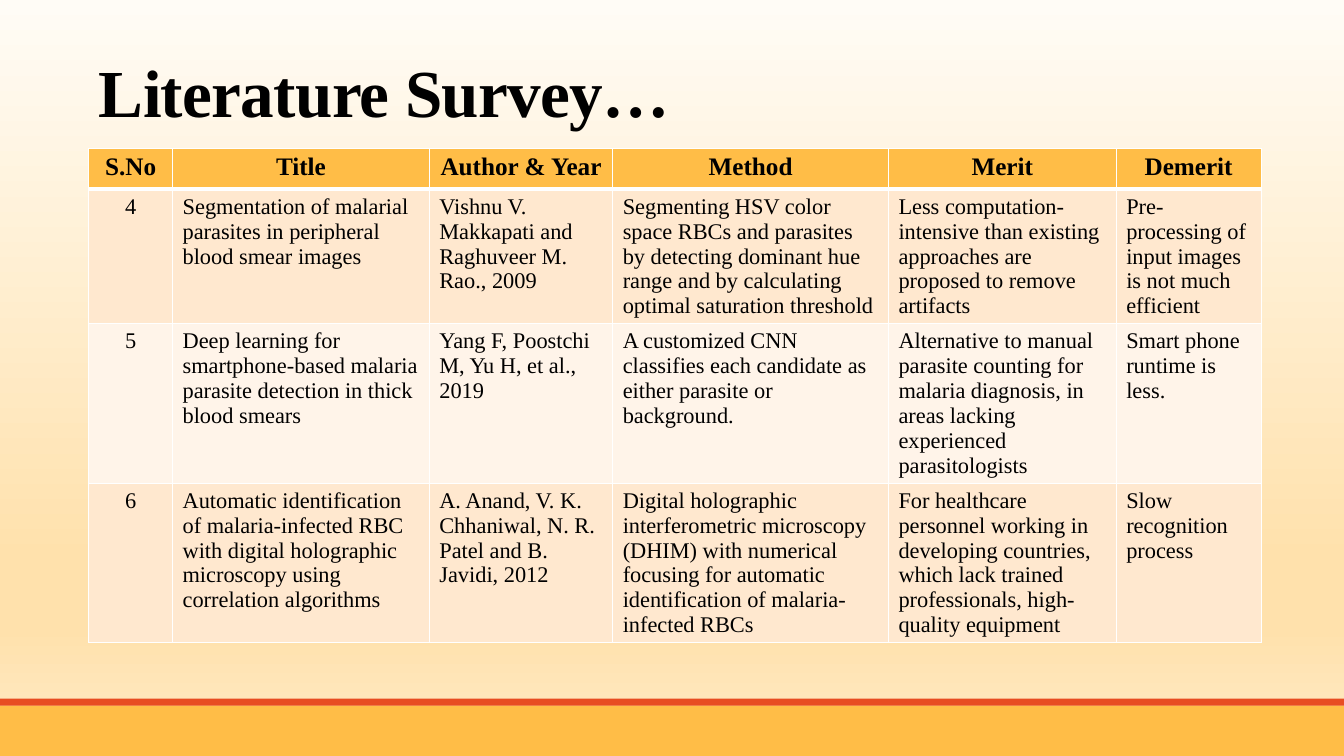
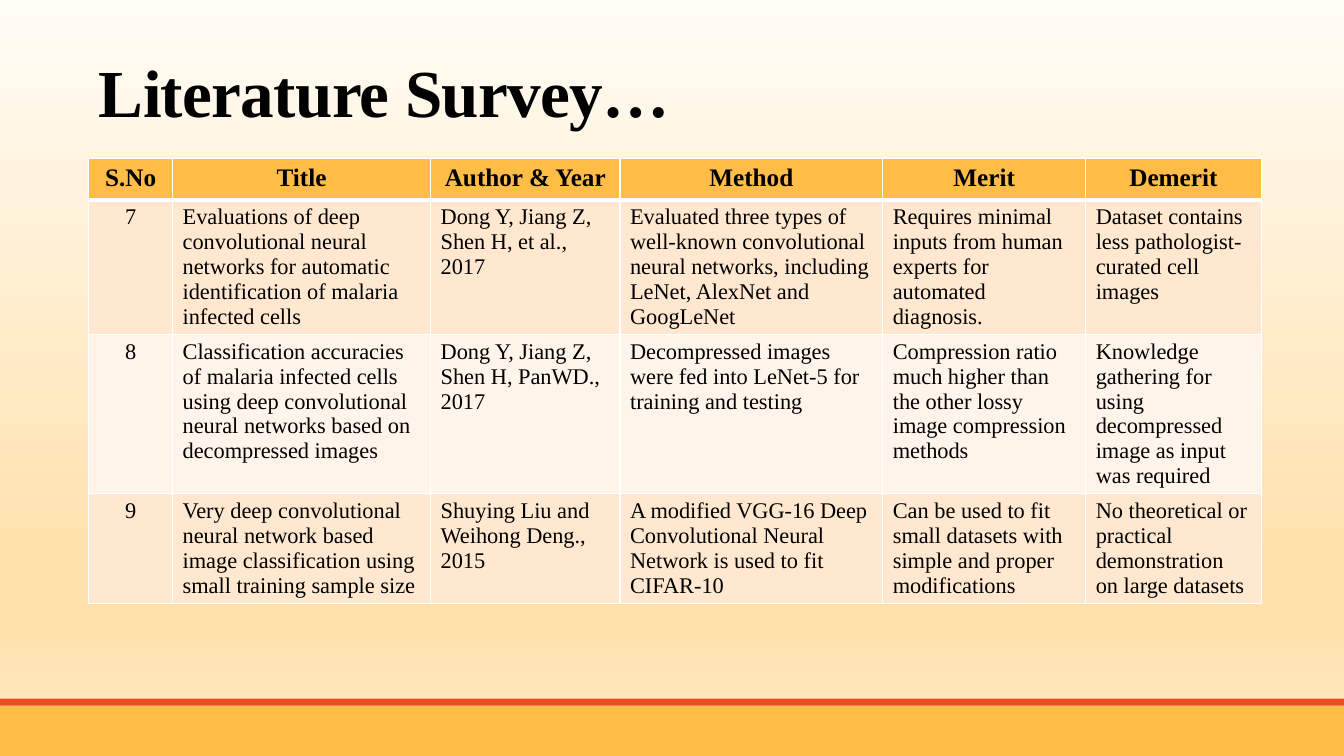
from dataclasses import dataclass

from lxml import etree
from pptx import Presentation
from pptx.dml.color import RGBColor
from pptx.enum import shapes, text
from pptx.oxml import ns
from pptx.util import Pt

HEADERS = ["S.No", "Title", "Author & Year", "Method", "Merit", "Demerit"]

SURVEYS = [
    {
        "title": "Literature Survey…",
        "top": 106,
        "widths": [59.8, 183.4, 131, 197, 162.7, 103.5],
        "rows": [
            ("4",
             "Segmentation of malarial parasites in peripheral blood smear images",
             "Vishnu V. Makkapati and Raghuveer M. Rao., 2009",
             "Segmenting HSV color space RBCs and parasites by detecting dominant hue "
             "range and by calculating optimal saturation threshold",
             "Less computation-intensive than existing approaches are proposed to "
             "remove artifacts",
             "Pre-processing of input images is not much efficient"),
            ("5",
             "Deep learning for smartphone-based malaria parasite detection in thick "
             "blood smears",
             "Yang F, Poostchi M, Yu H, et al., 2019",
             "A customized CNN classifies each candidate as either parasite or "
             "background.",
             "Alternative to manual parasite counting for malaria diagnosis, in areas "
             "lacking experienced parasitologists",
             "Smart phone runtime is less."),
            ("6",
             "Automatic identification of malaria-infected RBC with digital "
             "holographic microscopy using correlation algorithms",
             "A. Anand, V. K. Chhaniwal, N. R. Patel and B. Javidi, 2012",
             "Digital holographic interferometric microscopy (DHIM) with numerical "
             "focusing for automatic identification of malaria-infected RBCs",
             "For healthcare personnel working in developing countries, which lack "
             "trained professionals, high-quality equipment",
             "Slow recognition process"),
        ],
    },
    {
        "title": "Literature Survey…",
        "top": 113.5,
        "widths": [59.8, 184.3, 135.3, 187.7, 145, 125.3],
        "rows": [
            ("7",
             "Evaluations of deep convolutional neural networks for automatic "
             "identification of malaria infected cells",
             "Dong Y, Jiang Z, Shen H, et al., 2017",
             "Evaluated three types of well-known convolutional neural networks, "
             "including LeNet, AlexNet and GoogLeNet",
             "Requires minimal inputs from human experts for automated diagnosis.",
             "Dataset contains less pathologist-curated cell images"),
            ("8",
             "Classification accuracies of malaria infected cells using deep "
             "convolutional neural networks based on decompressed images",
             "Dong Y, Jiang Z, Shen H, PanWD., 2017",
             "Decompressed images were fed into LeNet-5 for training and testing",
             "Compression ratio much higher than the other lossy image compression "
             "methods",
             "Knowledge gathering for using decompressed image as input was required"),
            ("9",
             "Very deep convolutional neural network based image classification using "
             "small training sample size",
             "Shuying Liu and Weihong Deng., 2015",
             "A modified VGG-16 Deep Convolutional Neural Network is used to fit "
             "CIFAR-10",
             "Can be used to fit small datasets with simple and proper modifications",
             "No theoretical or practical demonstration on large datasets"),
        ],
    },
]


@dataclass(frozen=True)
class Theme:
    font: str = "Times New Roman"
    ink: str = "000000"
    gold: str = "FFBD47"
    red: str = "E84C22"
    border: str = "FFFFFF"
    stripes: tuple = ("FFE8CF", "FFF4E9")
    backdrop: tuple = ((0, "FFFCF6"), (74, "FFE1AC"), (83, "FFE1AC"), (100, "FFEBC8"))
    title_size: int = 48
    header_size: int = 18
    body_size: int = 16


THEME = Theme()
WIDTH, HEIGHT = 960, 540
LEFT = 63.5
ROW_HEIGHT = 29.2
BANDS = [(504, 36, THEME.gold), (499, 5, THEME.red)]  # top, height, colour


def rgb(value):
    return RGBColor.from_string(value)


def style_runs(p, size, bold):
    for r in p.runs:
        r.font.name = THEME.font
        r.font.size = Pt(size)
        r.font.bold = bold
        r.font.color.rgb = rgb(THEME.ink)


def set_backdrop(master):
    fill = master.background.fill
    fill.gradient()
    fill.gradient_angle = 270
    stops = master.element.find(".//" + ns.qn("a:gsLst"))
    for stop in list(stops):
        stops.remove(stop)
    for percent, color in THEME.backdrop:
        stop = etree.SubElement(stops, ns.qn("a:gs"), pos=str(percent * 1000))
        etree.SubElement(stop, ns.qn("a:srgbClr"), val=color)


def add_bands(slide):
    for top, height, color in BANDS:
        sp = slide.shapes.add_shape(shapes.MSO_SHAPE.RECTANGLE,
                                    0, Pt(top), Pt(WIDTH), Pt(height))
        sp.shadow.inherit = False
        sp.fill.solid()
        sp.fill.fore_color.rgb = rgb(color)
        sp.line.fill.background()


def set_title(slide, title):
    sp = slide.shapes.title
    sp.left, sp.top, sp.width, sp.height = Pt(LEFT), Pt(22.3), Pt(815), Pt(75)
    tf = sp.text_frame
    tf.text = title
    tf.auto_size = text.MSO_AUTO_SIZE.NONE
    tf.vertical_anchor = text.MSO_ANCHOR.BOTTOM
    p = tf.paragraphs[0]
    p.alignment = text.PP_ALIGN.LEFT
    p.line_spacing = 0.85
    style_runs(p, THEME.title_size, True)
    for r in p.runs:
        r.font._element.set("spc", "-50")


def set_borders(cell, top, bottom):
    props = cell._tc.get_or_add_tcPr()
    for side, width in (("L", 1), ("R", 1), ("T", top), ("B", bottom)):
        line = etree.SubElement(props, ns.qn("a:ln" + side), w=str(Pt(width)))
        fill = etree.SubElement(line, ns.qn("a:solidFill"))
        etree.SubElement(fill, ns.qn("a:srgbClr"), val=THEME.border)


def add_survey_table(slide, top, widths, rows):
    lines = [HEADERS, *rows]
    table = slide.shapes.add_table(
        len(lines), len(HEADERS), Pt(LEFT), Pt(top),
        Pt(sum(widths)), Pt(ROW_HEIGHT * len(lines))).table
    for column, width in zip(table.columns, widths):
        column.width = Pt(width)
    for i, line in enumerate(lines):
        header = i == 0
        color = THEME.gold if header else THEME.stripes[(i - 1) % 2]
        for j, content in enumerate(line):
            cell = table.cell(i, j)
            set_borders(cell, 3 if i == 1 else 1, 3 if header else 1)
            cell.fill.solid()
            cell.fill.fore_color.rgb = rgb(color)
            cell.text_frame.text = content
            p = cell.text_frame.paragraphs[0]
            centred = header or j == 0
            p.alignment = text.PP_ALIGN.CENTER if centred else text.PP_ALIGN.LEFT
            style_runs(p, THEME.header_size if header else THEME.body_size, header)


def main():
    prs = Presentation()
    prs.slide_width, prs.slide_height = Pt(WIDTH), Pt(HEIGHT)
    set_backdrop(prs.slide_master)
    layout = prs.slide_layouts.get_by_name("Title Only")
    for survey in SURVEYS:
        slide = prs.slides.add_slide(layout)
        add_bands(slide)
        set_title(slide, survey["title"])
        add_survey_table(slide, survey["top"], survey["widths"], survey["rows"])
    prs.save("out.pptx")


if __name__ == "__main__":
    main()
